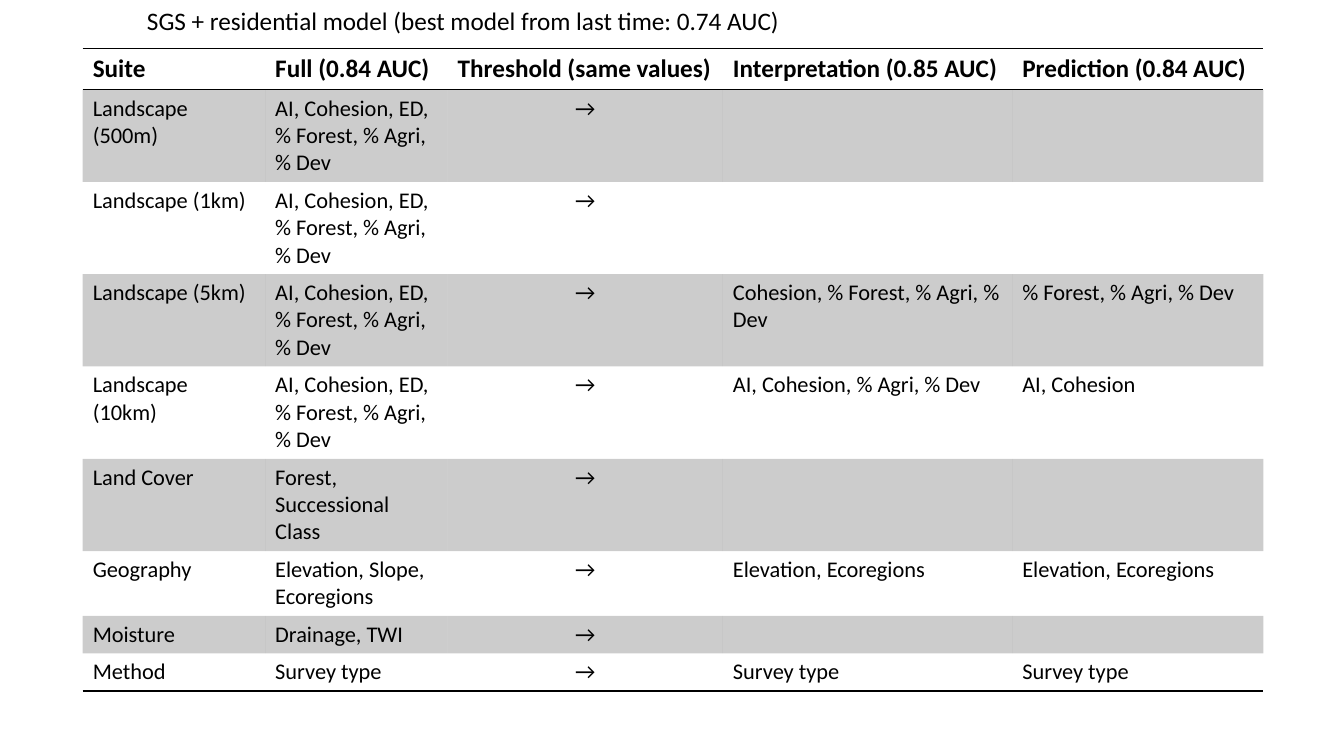
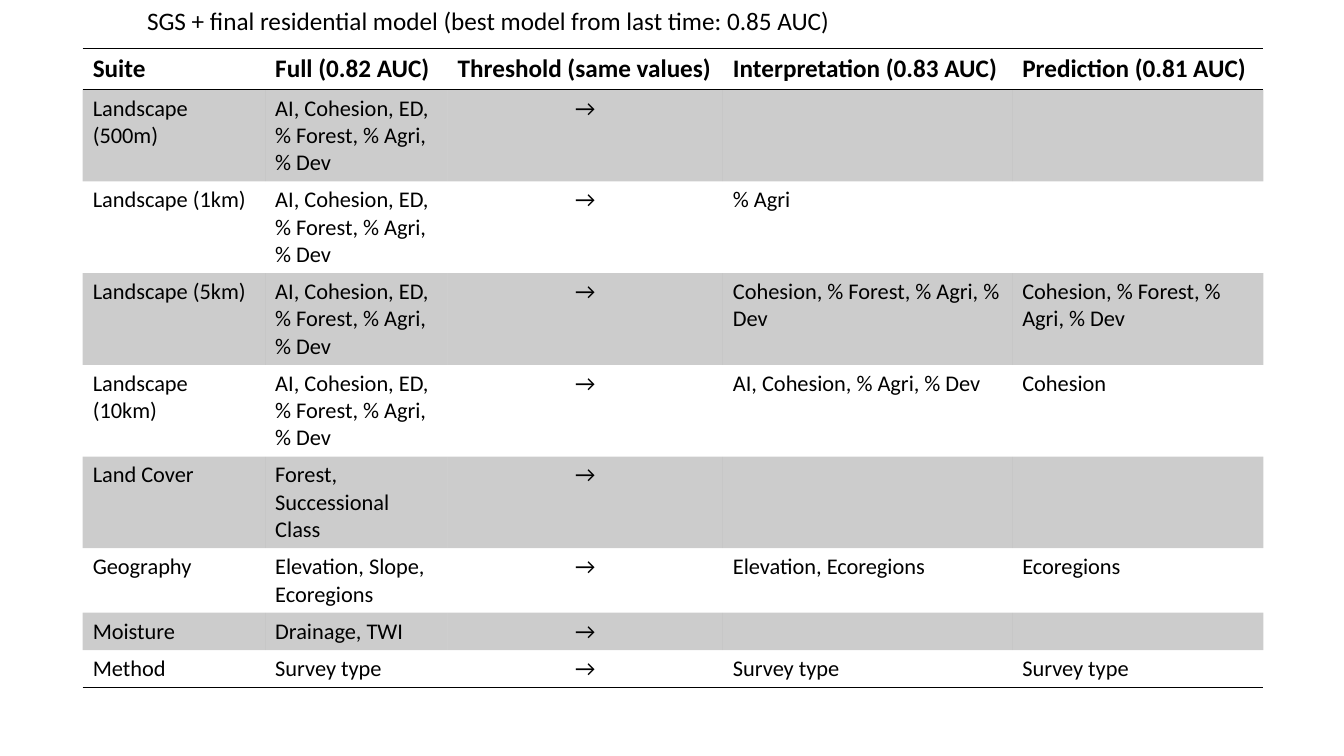
from lxml.etree import SubElement
from pptx import Presentation
from pptx.dml.color import RGBColor
from pptx.enum.text import MSO_AUTO_SIZE as AutoSize, PP_ALIGN as Align
from pptx.oxml.ns import qn
from pptx.util import Inches, Pt

# Content: what both tables share, then what each slide adds
LANDSCAPE = "AI, Cohesion, ED, % Forest, % Agri, % Dev"
ARROW = "→"
SUITES = [  # suite, variables in the full model, lines of text in the row
    ("Landscape (500m)", LANDSCAPE, 3),
    ("Landscape (1km)", LANDSCAPE, 3),
    ("Landscape (5km)", LANDSCAPE, 3),
    ("Landscape (10km)", LANDSCAPE, 3),
    ("Land Cover", "Forest, Successional Class", 3),
    ("Geography", "Elevation, Slope, Ecoregions", 2),
    ("Moisture", "Drainage, TWI", 1),
    ("Method", "Survey type", 1),
]
FOREST_AGRI_DEV = "% Forest, % Agri, % Dev"
COHESION_PLUS = "Cohesion, " + FOREST_AGRI_DEV
PAGES = [
    dict(title="SGS + residential model (best model from last time: 0.74 AUC)",
         title_width=6.73, scores=("0.84", "0.85", "0.84"),
         interpretation=["", "", COHESION_PLUS, "AI, Cohesion, % Agri, % Dev",
                         "", "Elevation, Ecoregions", "", "Survey type"],
         prediction=["", "", FOREST_AGRI_DEV, "AI, Cohesion",
                     "", "Elevation, Ecoregions", "", "Survey type"]),
    dict(title="SGS + final residential model (best model from last time: 0.85 AUC)",
         title_width=7.51, scores=("0.82", "0.83", "0.81"),
         interpretation=["", "% Agri", COHESION_PLUS, "AI, Cohesion, % Agri, % Dev",
                         "", "Elevation, Ecoregions", "", "Survey type"],
         prediction=["", "", COHESION_PLUS, "Cohesion",
                     "", "Ecoregions", "", "Survey type"]),
]

# Shared style and grid, in inches and points
FONT, INK, BAND_OPACITY = "Calibri", "000000", 20
HEAD_SIZE, BODY_SIZE = 18, 16
TABLE_LEFT, TABLE_TOP, TITLE_LEFT = 0.82, 0.48, 1.36
COLUMNS = [1.81, 1.81, 2.73, 2.87, 2.49]
HEAD_HEIGHT, LINE_HEIGHT, ROW_PADDING = 0.41, 0.27, 0.1
ROWS = [HEAD_HEIGHT] + [ROW_PADDING + LINE_HEIGHT * lines for *_, lines in SUITES]
NO_GRID_STYLE = "{2D5ABB26-0587-4C30-8999-92F81FD0307C}"


def color(value):
    return RGBColor.from_string(value)


def write(para, text, size, bold=False):
    if not text:  # an empty cell keeps the line height of its row
        SubElement(para._p, qn("a:endParaRPr"), sz=str(size * 100))
        return
    span = para.add_run()
    span.text = text
    span.font.name, span.font.size, span.font.bold = FONT, Pt(size), bold
    span.font.color.rgb = color(INK)


def add_rule(cell, side):
    line = SubElement(cell._tc.get_or_add_tcPr(), qn("a:ln" + side), w=str(Pt(1)))
    SubElement(SubElement(line, qn("a:solidFill")), qn("a:srgbClr"), val=INK)


def fill_band(cell):
    cell.fill.solid()
    cell.fill.fore_color.rgb = color(INK)
    tint = cell._tc.tcPr.find(qn("a:solidFill")).find(qn("a:srgbClr"))
    SubElement(tint, qn("a:alpha"), val=str(BAND_OPACITY * 1000))


def add_title(page, text, width):
    box = page.shapes.add_textbox(Inches(TITLE_LEFT), 0, Inches(width), Inches(0.4))
    box.text_frame.word_wrap = True
    box.text_frame.auto_size = AutoSize.SHAPE_TO_FIT_TEXT
    write(box.text_frame.paragraphs[0], text, HEAD_SIZE)


def add_model_table(page, grid):
    frame = page.shapes.add_table(
        len(ROWS), len(COLUMNS), Inches(TABLE_LEFT), Inches(TABLE_TOP),
        Inches(sum(COLUMNS)), Inches(sum(ROWS)))
    table = frame.table
    table.first_row = table.horz_banding = False
    table._tbl.tblPr.find(qn("a:tableStyleId")).text = NO_GRID_STYLE
    for column, width in zip(table.columns, COLUMNS):
        column.width = Inches(width)
    for r, (texts, height) in enumerate(zip(grid, ROWS)):
        table.rows[r].height = Inches(height)
        head, last = r == 0, r == len(grid) - 1
        for c, text in enumerate(texts):
            cell = table.cell(r, c)
            para = cell.text_frame.paragraphs[0]
            if text == ARROW:
                para.alignment = Align.CENTER
            write(para, text, HEAD_SIZE if head else BODY_SIZE, head)
            # Rules above and below the head and under the last row
            for side in "TB" if head else "B" if last else "":
                add_rule(cell, side)
            if r % 2:
                fill_band(cell)
            else:
                cell.fill.background()


# Build the slides
deck = Presentation()
deck.slide_width, deck.slide_height = Inches(13.33), Inches(7.5)
for content in PAGES:
    page = deck.slides.add_slide(deck.slide_layouts[6])
    full, interpretation, prediction = content["scores"]
    grid = [("Suite", f"Full ({full} AUC)", "Threshold (same values)",
             f"Interpretation ({interpretation} AUC)", f"Prediction ({prediction} AUC)")]
    for (suite, variables, _), kept, predictors in zip(
            SUITES, content["interpretation"], content["prediction"]):
        grid.append((suite, variables, ARROW, kept, predictors))
    add_model_table(page, grid)
    add_title(page, content["title"], content["title_width"])
deck.save("out.pptx")
